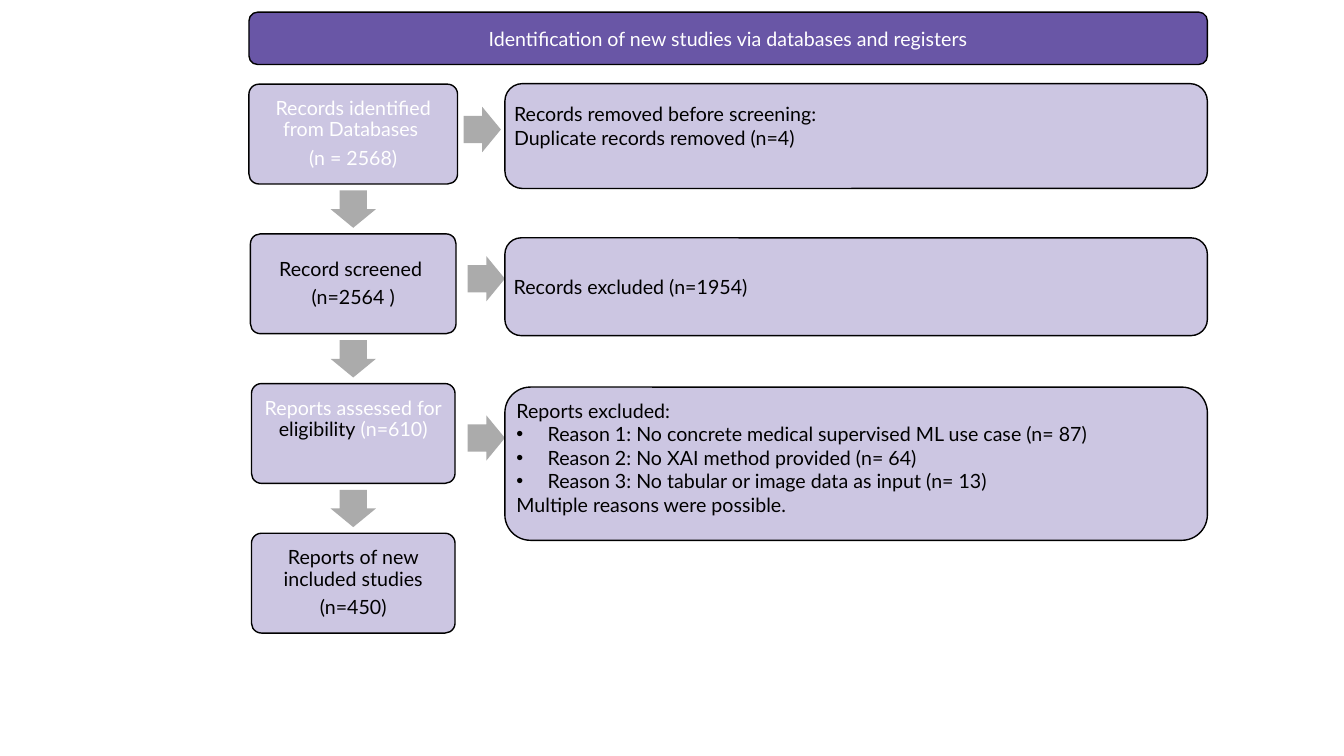
from lxml import etree
from pptx import Presentation
from pptx.dml.color import RGBColor
from pptx.enum.shapes import MSO_SHAPE
from pptx.enum.text import MSO_ANCHOR, PP_ALIGN
from pptx.oxml.ns import qn
from pptx.util import Pt

PX = 4572  # EMU per px, 200 px to the inch
ROUND = MSO_SHAPE.ROUNDED_RECTANGLE
RIGHT, DOWN = MSO_SHAPE.RIGHT_ARROW, MSO_SHAPE.DOWN_ARROW
TOP, MIDDLE = MSO_ANCHOR.TOP, MSO_ANCHOR.MIDDLE
LEFT, CENTER = PP_ALIGN.LEFT, PP_ALIGN.CENTER

FONT = "Lato"
COLORS = {
    "header": "6956A6",
    "box": "CCC6E2",
    "arrow": "ABABAB",
    "black": "000000",
    "white": "FFFFFF",
}

FIRST_TOP, STEP_PITCH, STEP_HEIGHT = 167, 297, 198
STEP_CENTER = 701
DETAIL_LEFT, DETAIL_WIDTH = 1002, 1394
INSET = 8

# width, extra space below the text, paragraphs of (text, colour) runs
STEPS = [
    (414, 0, [[("Records identified from Databases ", "white")],
              [("(n = 2568)", "white")]]),
    (408, 0, [[("Record screened ", "black")], [("(n=2564 )", "black")]]),
    (404, 56, [[("Reports assessed for ", "white"), ("eligibility", "black"),
                (" (n=610)", "white")]]),
    (404, 0, [[("Reports of new included studies", "black")],
              [("(n=450)", "black")]]),
]

# top, height, anchor, extra space below the text, lines
DETAILS = [
    (166, 208, MIDDLE, 42, ["Records removed before screening:",
                            "Duplicate records removed (n=4)"]),
    (472, 194, MIDDLE, 0, ["Records excluded (n=1954)"]),
    (768, 304, TOP, 0, [
        "Reports excluded:",
        "• Reason 1: No concrete medical supervised ML use case (n= 87)",
        "• Reason 2: No XAI method provided (n= 64)",
        "• Reason 3: No tabular or image data as input (n= 13)",
        "Multiple reasons were possible.",
    ]),
]

RIGHT_ARROWS = [(920, 212), (928, 508), (928, 824)]


def rgb(name):
    return RGBColor.from_string(COLORS[name])


def add_filled(slide, kind, left, top, width, height, fill):
    s = slide.shapes.add_shape(kind, left * PX, top * PX, width * PX, height * PX)
    s.shadow.inherit = False
    s.fill.solid()
    s.fill.fore_color.rgb = rgb(fill)
    s.line.fill.background()
    return s


def add_arrow(slide, kind, left, top, width, height):
    s = add_filled(slide, kind, left, top, width, height, "arrow")
    s.adjustments[0] = 0.6
    s.adjustments[1] = 0.5


def add_box(slide, left, top, width, height, fill="box", anchor=MIDDLE, extra=0):
    """Add an outlined rounded box and return its text frame."""
    s = add_filled(slide, ROUND, left, top, width, height, fill)
    s.line.color.rgb = rgb("black")
    s.line.width = Pt(1)
    tf = s.text_frame
    tf.word_wrap = True
    tf.vertical_anchor = anchor
    tf.margin_left = tf.margin_right = tf.margin_top = INSET * PX
    tf.margin_bottom = (INSET + extra) * PX
    return s, tf


def add_paragraph(tf, runs, align):
    p = tf.paragraphs[0]
    if p.runs:
        p = tf.add_paragraph()
    p.alignment = align
    for text, color in runs:
        r = p.add_run()
        r.text = text
        r.font.name = FONT
        r.font.size = Pt(14)
        r.font.color.rgb = rgb(color)
    return p


def set_bullet(p):
    pPr = p._p.get_or_add_pPr()
    pPr.set("marL", str(62 * PX))
    pPr.set("indent", str(-62 * PX))
    etree.SubElement(pPr, qn("a:buFont")).set("typeface", "Arial")
    etree.SubElement(pPr, qn("a:buChar")).set("char", "•")


def add_step(slide, index, width, extra, paragraphs):
    top = FIRST_TOP + index * STEP_PITCH
    s, tf = add_box(slide, STEP_CENTER - width // 2, top, width, STEP_HEIGHT,
                    extra=extra)
    s.adjustments[0] = 0.1
    for runs in paragraphs:
        p = add_paragraph(tf, runs, CENTER)
        p.line_spacing = 0.9
        p.space_after = Pt(4.9)
    if index < len(STEPS) - 1:
        add_arrow(slide, DOWN, STEP_CENTER - 45, top + 211, 90, 74)


def add_detail(slide, top, height, anchor, extra, lines):
    _, tf = add_box(slide, DETAIL_LEFT, top, DETAIL_WIDTH, height,
                    anchor=anchor, extra=extra)
    for line in lines:
        p = add_paragraph(tf, [(line.removeprefix("• "), "black")], LEFT)
        if line.startswith("•"):
            set_bullet(p)


def main():
    prs = Presentation()
    prs.slide_width, prs.slide_height = 2667 * PX, 1500 * PX
    slide = prs.slides.add_slide(prs.slide_layouts[6])

    for i, step in enumerate(STEPS):
        add_step(slide, i, *step)
    for left, top in RIGHT_ARROWS:
        add_arrow(slide, RIGHT, left, top, 74, 90)
    for detail in DETAILS:
        add_detail(slide, *detail)

    _, tf = add_box(slide, 494, 24, 1902, 104, fill="header")
    title = "Identification of new studies via databases and registers"
    add_paragraph(tf, [(title, "white")], CENTER)

    prs.save("out.pptx")


if __name__ == "__main__":
    main()
